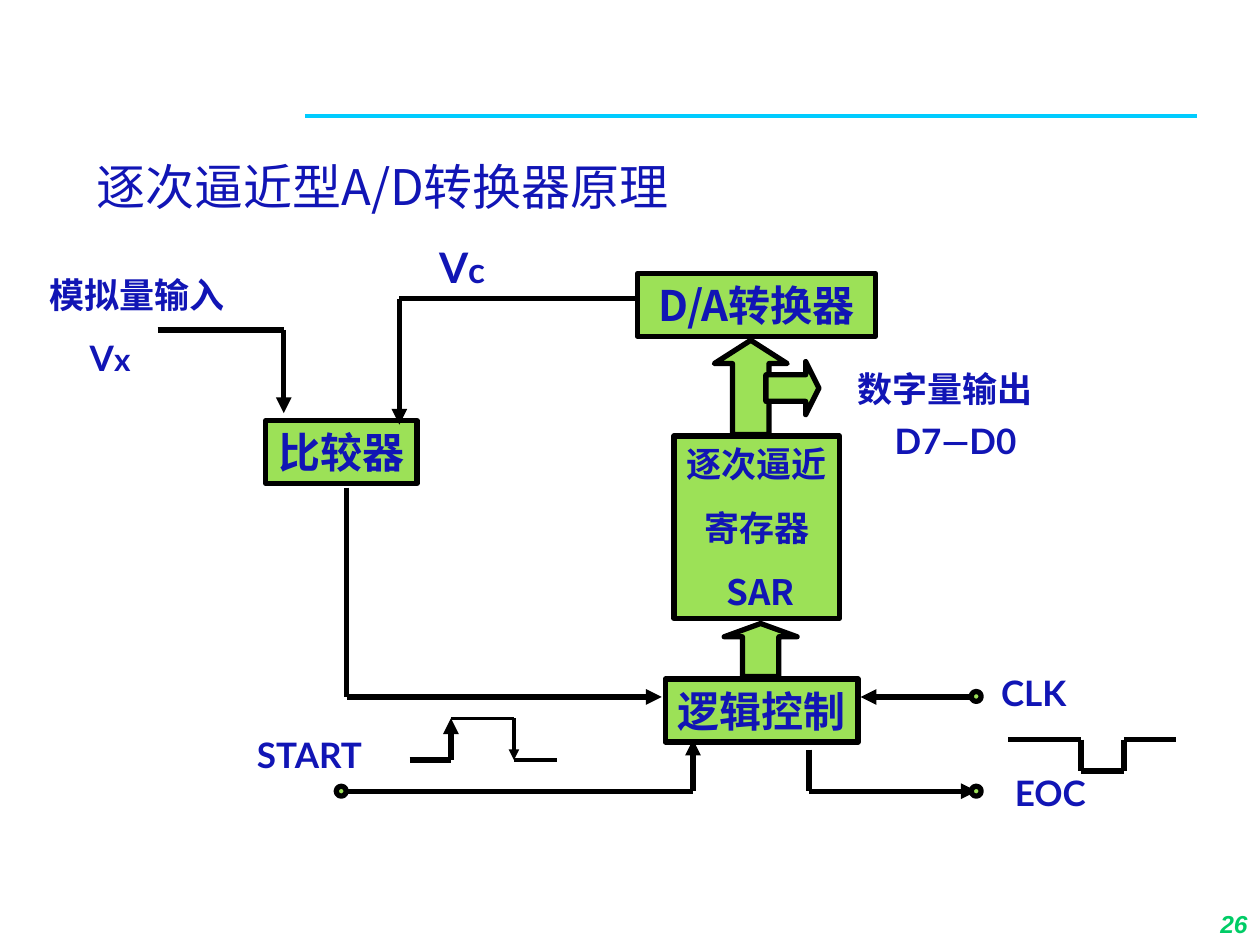
from dataclasses import dataclass
from itertools import pairwise
from typing import NamedTuple

from lxml import etree
from pptx import Presentation
from pptx import util as u
from pptx.dml.color import RGBColor
from pptx.enum import shapes, text
from pptx.oxml import ns


@dataclass(frozen=True)
class Theme:
    ink: str = "1115B5"
    fill: str = "9CE157"
    wire: str = "000000"
    rule: str = "00CCFF"
    page: str = "00CC66"
    latin: str = "Lato"
    asian: str = "Noto Sans CJK SC"
    number: str = "Arial"
    title: int = 28
    large: int = 24
    body: int = 20
    small: int = 18
    foot: int = 14
    gap: float = 12.5
    bold: int = 3
    thin: int = 2


class Rect(NamedTuple):
    x: float
    y: float
    w: float
    h: float


class Label(NamedTuple):
    words: str
    rect: Rect
    size: int
    sub: str = ""
    small: int = 0


class Block(NamedTuple):
    words: str
    rect: Rect
    size: int
    font: str


class Arrow(NamedTuple):
    kind: shapes.MSO_SHAPE
    rect: Rect
    head: float


class Route(NamedTuple):
    points: list
    arrow: bool = False
    width: int = 3


T = Theme()
KIND = shapes.MSO_SHAPE
ALIGN = text.PP_ALIGN
ANCHOR = text.MSO_ANCHOR

LABELS = [
    Label("模拟量输入", Rect(0.64, 5.38, 4.24, 1.12), T.body),
    Label("V", Rect(1.27, 6.65, 1.9, 1.12), T.body, "x", T.small),
    Label("V", Rect(8.26, 4.75, 2.11, 1.27), T.large, "c", T.body),
    Label("数字量输出", Rect(16.94, 7.29, 4.24, 1.12), T.body),
    Label("D7—D0", Rect(16.51, 8.33, 5.51, 1.12), T.body),
    Label("CLK", Rect(19.89, 13.41, 1.9, 1.12), T.body),
    Label("START", Rect(4.65, 14.66, 3.18, 1.12), T.body),
    Label("EOC", Rect(19.69, 15.42, 2.97, 1.12), T.body),
]
BLOCKS = [
    Block("比较器", Rect(5.36, 8.48, 3.05, 1.27), T.large, T.latin),
    Block("D/A转换器", Rect(12.85, 5.51, 4.8, 1.27), T.large, T.asian),
    Block("逐次逼近\n寄存器\n SAR", Rect(13.59, 8.79, 3.33, 3.68), T.body, T.asian),
    Block("逻辑控制", Rect(13.41, 13.69, 3.89, 1.27), T.large, T.latin),
]
ARROWS = [
    Arrow(KIND.UP_ARROW, Rect(14.4, 6.86, 1.47, 1.9), 0.32),
    Arrow(KIND.RIGHT_ARROW, Rect(15.44, 7.29, 1.07, 1.07), 0.25),
    Arrow(KIND.UP_ARROW, Rect(14.6, 12.57, 1.47, 1.07), 0.25),
]
ROUTES = [
    Route([(3.18, 6.65), (5.72, 6.65), (5.72, 8.33)], True),
    Route([(12.9, 6.02), (8.05, 6.02), (8.05, 8.56)], True),
    Route([(6.99, 9.83), (6.99, 14.05), (13.34, 14.05)], True),
    Route([(19.69, 14.05), (17.35, 14.05)], True),
    Route([(6.99, 15.95), (13.97, 15.95), (13.97, 14.91)], True),
    Route([(16.31, 15.11), (16.31, 15.95), (19.69, 15.95)], True),
    Route([(8.26, 15.32), (9.09, 15.32), (9.09, 14.48)], True),
    Route([(9.09, 14.48), (10.36, 14.48), (10.36, 15.32)], True, T.thin),
    Route([(10.36, 15.32), (11.23, 15.32)], False, T.thin),
    Route([(20.32, 14.91), (21.79, 14.91), (21.79, 15.54),
           (22.66, 15.54), (22.66, 14.91), (23.7, 14.91)]),
]
DOTS = [(6.78, 15.85), (19.58, 13.94), (19.58, 15.85)]


def color(code: str) -> RGBColor:
    return RGBColor.from_string(code)


def style(run, size: int, font: str, ink: str = T.ink, bold: bool = True) -> None:
    run.font.size = u.Pt(size)
    run.font.bold = bold
    run.font.color.rgb = color(ink)
    run.font.name = font
    asian = etree.SubElement(run.font._element, ns.qn("a:ea"))
    asian.set("typeface", T.asian)


def write(frame, words: str, size: int, font: str, ink: str = T.ink,
          bold: bool = True, align: ALIGN = ALIGN.CENTER) -> None:
    frame.text = words
    for row, para in enumerate(frame.paragraphs):
        para.alignment = align
        if row:
            para.space_before = u.Pt(T.gap)
        for run in para.runs:
            style(run, size, font, ink, bold)


def add_box(slide, rect: Rect, anchor: ANCHOR = ANCHOR.TOP):
    frame = slide.shapes.add_textbox(*map(u.Cm, rect)).text_frame
    frame.word_wrap = True
    frame.vertical_anchor = anchor
    return frame


def add_label(slide, label: Label) -> None:
    frame = add_box(slide, label.rect)
    write(frame, label.words, label.size, T.latin)
    if label.sub:
        run = frame.paragraphs[0].add_run()
        run.text = label.sub
        style(run, label.small, T.latin)


def add_solid(slide, kind: KIND, rect: Rect):
    shape = slide.shapes.add_shape(kind, *map(u.Cm, rect))
    shape.shadow.inherit = False
    shape.fill.solid()
    shape.fill.fore_color.rgb = color(T.fill)
    shape.line.color.rgb = color(T.wire)
    shape.line.width = u.Pt(T.bold)
    return shape


def add_block(slide, block: Block) -> None:
    frame = add_solid(slide, KIND.RECTANGLE, block.rect).text_frame
    frame.word_wrap = False
    frame.vertical_anchor = ANCHOR.MIDDLE
    write(frame, block.words, block.size, block.font)


def add_arrow(slide, arrow: Arrow) -> None:
    shape = add_solid(slide, arrow.kind, arrow.rect)
    shape.adjustments[0] = 0.5
    shape.adjustments[1] = arrow.head


def add_route(slide, route: Route, ink: str = T.wire) -> None:
    for start, end in pairwise(route.points):
        wire = slide.shapes.add_connector(
            shapes.MSO_CONNECTOR.STRAIGHT, *map(u.Cm, start + end))
        wire.line.color.rgb = color(ink)
        wire.line.width = u.Pt(route.width)
        if route.arrow and end == route.points[-1]:
            tail = etree.SubElement(wire.line._get_or_add_ln(), ns.qn("a:tailEnd"))
            tail.set("type", "triangle")
        etree.SubElement(wire._element.spPr, ns.qn("a:effectLst"))


def main() -> None:
    deck = Presentation()
    deck.slide_width, deck.slide_height = u.Cm(25.4), u.Cm(19.05)
    slide = deck.slides.add_slide(deck.slide_layouts[6])

    add_route(slide, Route([(6.15, 2.34), (24.13, 2.34)], False, T.thin), T.rule)
    title = add_box(slide, Rect(1.7, 2.34, 20.96, 2.95), ANCHOR.MIDDLE)
    write(title, "逐次逼近型A/D转换器原理", T.title, T.asian, bold=False, align=ALIGN.LEFT)
    title.paragraphs[0].line_spacing = 0.9

    for block in BLOCKS:
        add_block(slide, block)
    for route in ROUTES:
        add_route(slide, route)
    for arrow in ARROWS:
        add_arrow(slide, arrow)
    for x, y in DOTS:
        add_solid(slide, KIND.FLOWCHART_CONNECTOR, Rect(x, y, 0.2, 0.2))
    for label in LABELS:
        add_label(slide, label)

    page = add_box(slide, Rect(20.12, 17.78, 5.28, 1.27), ANCHOR.BOTTOM)
    write(page, "26", T.foot, T.number, T.page, align=ALIGN.RIGHT)
    page.paragraphs[0].runs[0].font.italic = True
    deck.save("out.pptx")


if __name__ == "__main__":
    main()
